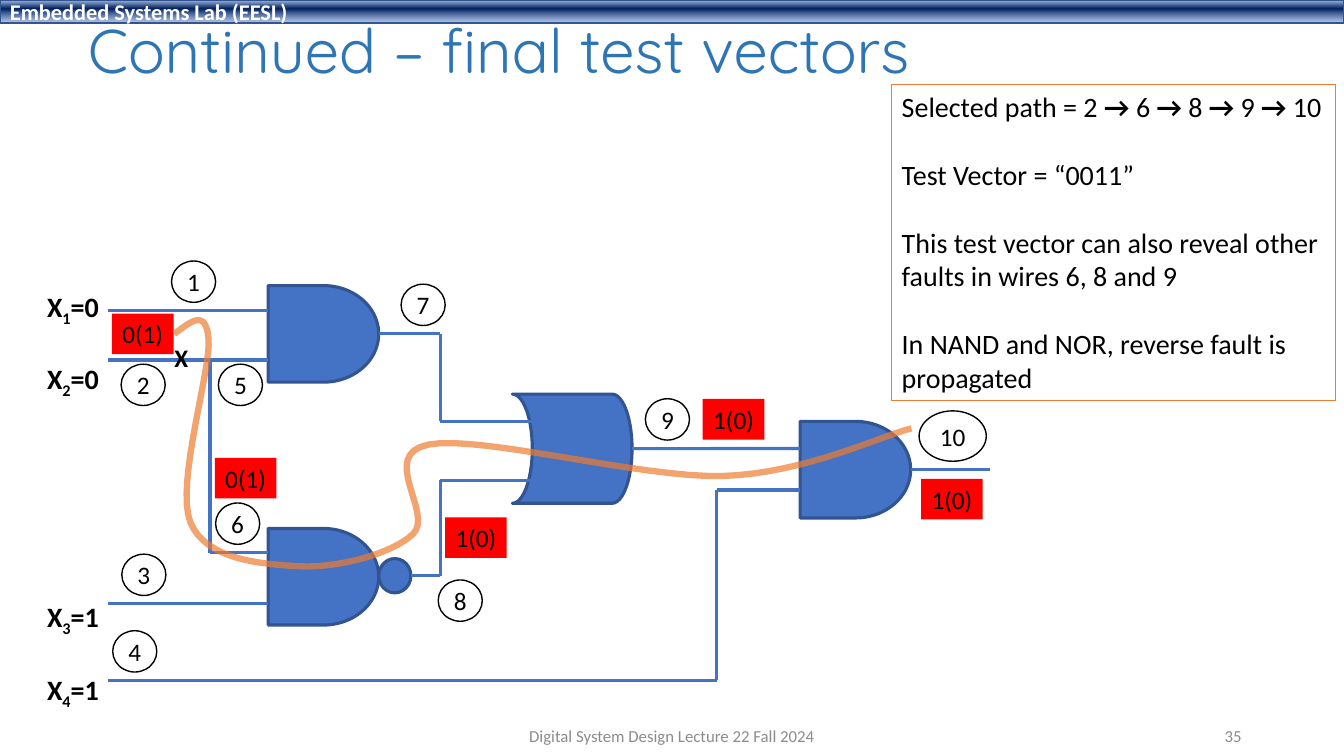
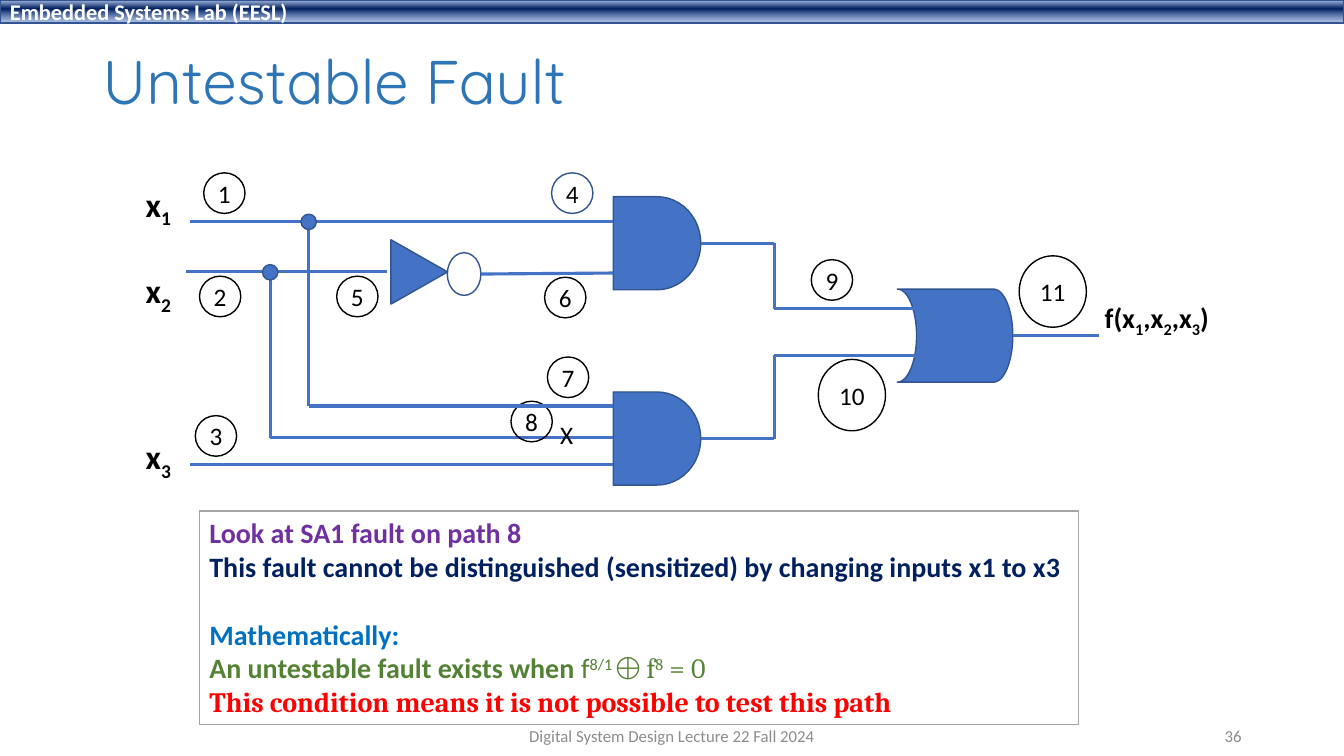
"""Build two lecture slides on test vectors and untestable faults in logic circuits."""
from dataclasses import dataclass
from itertools import pairwise

from lxml import etree
from pptx import Presentation
from pptx.dml.color import RGBColor
from pptx.enum.shapes import MSO_CONNECTOR, MSO_SHAPE as Preset
from pptx.enum.text import MSO_ANCHOR as Anchor, MSO_AUTO_SIZE, PP_ALIGN as Align
from pptx.oxml.ns import qn
from pptx.util import Pt


@dataclass(frozen=True)
class Theme:
    """Colours, fonts and type sizes of the deck."""
    body: str = "Calibri"
    heading: str = "Quicksand"
    serif: str = "Cambria"
    ink: str = "000000"
    paper: str = "FFFFFF"
    title: str = "2E75B6"
    gate: str = "4472C4"
    edge: str = "325491"
    orange: str = "ED7D31"
    red: str = "FF0000"
    grey: str = "A5A5A5"
    footer: str = "8C8C8C"
    purple: str = "7030A0"
    navy: str = "002060"
    blue: str = "0070C0"
    green: str = "548235"
    band: tuple = ((2, "ABC0E4", 100), (38, "002060", 100), (93, "7E9ED6", 64))
    title_size: int = 44
    input_size: int = 24
    text_size: int = 20
    mark_size: int = 18
    band_size: int = 16
    footer_size: int = 12
    wire_width: float = 2.25


@dataclass(frozen=True)
class Wire:
    """A wire from a gate, point or x position to a gate's port or an x position."""
    start: object
    to: object
    port: float = 0.5
    turn: float = None
    marks: tuple = ()
    dot: bool = False


T = Theme()
LAB = "Embedded Systems Lab (EESL)"
COURSE = "Digital System Design Lecture 22 Fall 2024"
WIDTH, HEIGHT = 960, 540
BLANK_LINE = 24.4
SUB, SUPER = {"base": -25}, {"base": 30}
ARROW = (" → ", {"bold": True})
AND, OR = Preset.FLOWCHART_DELAY, Preset.FLOWCHART_STORED_DATA
NOT, OVAL = Preset.ISOSCELES_TRIANGLE, Preset.OVAL
GAPS = {"above": 6, "below": 3, "touching": -3}
DOT = 11


def plain(text, gap=0, **look):
    """Return a paragraph of a single run."""
    return gap, [(text, look)]


def route(*nodes):
    """Return the runs that name a path through the circuit."""
    runs = [(f"Selected path = {nodes[0]}", {})]
    for node in nodes[1:]:
        runs += [ARROW, (node, {})]
    return 0, runs


GREEN = {"color": T.green}
FORMULA = {**GREEN, "bold": False}
SERIF = {**FORMULA, "font": T.serif}

SLIDES = [
    {
        "title": ("Continued – final test vectors", (55.5, 8.5, 828, 60)),
        "number": "35",
        "panel": ((637, 60.5, 317, 225.5), T.orange, False, [
            route("2", "6", "8", "9", "10"),
            plain("Test Vector = “0011”", BLANK_LINE),
            plain("This test vector can also reveal other", BLANK_LINE),
            plain("faults in wires 6, 8 and 9"),
            plain("In NAND and NOR, reverse fault is", BLANK_LINE),
            plain("propagated"),
        ]),
        "gate_line": 2.25,
        "sizes": {AND: (79, 69), OR: (85.5, 78), OVAL: (23, 24.5)},
        "gates": {"and": (AND, 191.5, 204), "nand": (AND, 191.5, 377.5), "or": (OR, 366, 281.5),
                  "output": (AND, 571.5, 301), "bubble": (OVAL, 270.5, 399)},
        "wires": [
            Wire("and", "or", 0.25, 314.5, (("7", 286.5, "above start"),)),
            Wire("bubble", "or", 0.79, 314.5, (("8", 313, "below start"),)),
            Wire("or", "output", 0.28, marks=(("9", 461, "above"),)),
            Wire("output", 707, marks=(("10", 656.5, "above"),)),
            Wire((77, 486), "output", 0.71, 512, (("4", 80.5, "above start"),)),
            Wire(77, "nand", 0.78, marks=(("3", 87, "above"),)),
            Wire(77, "and", 0.77, marks=(("2", 86.5, "below"), ("5", 156, "below"))),
            Wire(77, "and", 0.26, marks=(("1", 122.5, "above"),)),
            Wire((150, 257), "nand", 0.25, 150, (("6", 154, "above"),)),
        ],
        "nodes": ((31.5, 29.5), (48, 36)),
        "labels": ("X", ("=0", "=0", "=1", "=1"), T.text_size, 26.5, (203, 254.5, 425, 476.5)),
        "fault": ((117.5, 241, 24.5, 29), True),
        "values": {"0(1)": [(80, 224), (153.5, 327)],
                   "1(0)": [(502, 285), (658, 342), (318, 369.5)]},
        "trace": [(83, 290), (124.5, 238.5), (149, 242), (136, 373), (214, 404.5),
                  (295, 381.5), (306.5, 317.5), (517, 340), (651, 306), (651, 306)],
    },
    {
        "title": ("Untestable Fault", (66, 29, 828, 62.5)),
        "number": "36",
        "panel": ((142.5, 365, 628, 152.5), T.grey, True, [
            plain("Look at SA1 fault on path 8", color=T.purple),
            plain("This fault cannot be distinguished (sensitized) by changing inputs x1 to x3",
                  color=T.navy),
            plain("Mathematically:", BLANK_LINE, color=T.blue),
            (0, [("An untestable fault exists when ", GREEN), ("f", FORMULA),
                 ("8/1 ", {**FORMULA, **SUPER}), ("⨁ f", SERIF),
                 ("8", {**SERIF, **SUPER}), (" = 0", SERIF)]),
            plain("This condition means it is not possible to test this path",
                  color=T.red, font=T.serif),
        ]),
        "gate_line": 1,
        "sizes": {AND: (62.5, 66.5), OR: (82.5, 66.5), NOT: (46, 40.5), OVAL: (24, 30.5)},
        "gates": {"upper and": (AND, 438, 140.5), "lower and": (AND, 438, 280),
                  "or": (OR, 641, 206.5), "inverter": (NOT, 276.5, 174),
                  "bubble": (OVAL, 319.5, 180.5)},
        "hollow": ["bubble"],
        "wires": [
            Wire("bubble", "upper and", 0.82, marks=(("6", 389, "below"),)),
            Wire(133, "inverter", marks=(("2", 142.5, "below"), ("5", 240.5, "below"))),
            Wire(136, "upper and", 0.27, marks=(("1", 145.5, "above"), ("4", 394, "above"))),
            Wire((193, 194.5), "lower and", 0.49, 193, (("8", 365, "touching"),), True),
            Wire(136, "lower and", 0.78, marks=(("3", 139.5, "above"),)),
            Wire((220.5, 158.5), "lower and", 0.15, 220.5, (("7", 391, "above"),), True),
            Wire("upper and", "or", 0.21, 553, (("9", 579.5, "above"),)),
            Wire("lower and", "or", 0.71, 553, (("10", 584.5, "below"),)),
            Wire("or", 785, marks=(("11", 728, "above"),)),
        ],
        "nodes": ((29.5, 29), (48, 51)),
        "tinted": ["4"],
        "labels": ("x", ("", "", ""), T.input_size, 97, (127.5, 189.5, 308)),
        "result": ([(0, [("f(x", {}), ("1", SUB), (",x", {}), ("2", SUB), (",x", {}),
                         ("3", SUB), (")", {})])], (782, 211, 105, 32)),
        "fault": ((393, 296, 24.5, 29), False),
    },
]
CENTRED = {"size": T.mark_size, "align": Align.CENTER, "anchor": Anchor.MIDDLE, "wrap": False}


def write(shape, text, size=T.text_size, color=T.ink, font=T.body, bold=False,
          align=Align.LEFT, anchor=Anchor.TOP, wrap=True, spacing=None):
    """Fill a shape with text, given as a string or as (gap, runs) paragraphs."""
    frame = shape.text_frame
    frame.auto_size, frame.word_wrap = MSO_AUTO_SIZE.NONE, wrap
    frame.vertical_anchor = anchor
    paragraphs = [plain(text)] if isinstance(text, str) else text
    for order, (gap, runs) in enumerate(paragraphs):
        line = frame.add_paragraph() if order else frame.paragraphs[0]
        line.alignment, line.space_before = align, Pt(gap)
        if spacing:
            line.line_spacing = spacing
        for words, look in runs:
            if not words:
                continue
            run = line.add_run()
            run.text = words
            run.font.size, run.font.name = Pt(size), look.get("font", font)
            run.font.bold = look.get("bold", bold)
            run.font.color.rgb = RGBColor.from_string(look.get("color", color))
            if "base" in look:
                run.font._element.set("baseline", str(look["base"] * 1000))


def outline(shape, color, width):
    """Set a solid line."""
    shape.line.color.rgb = RGBColor.from_string(color)
    shape.line.width = Pt(width)


def draw(slide, preset, box, fill=None, line=None, width=1):
    """Add a flat preset shape."""
    shape = slide.shapes.add_shape(preset, *map(Pt, box))
    shape.shadow.inherit = False
    if fill:
        shape.fill.solid()
        shape.fill.fore_color.rgb = RGBColor.from_string(fill)
    else:
        shape.fill.background()
    if line:
        outline(shape, line, width)
    else:
        shape.line.fill.background()
    return shape


def note(slide, text, box, **look):
    """Add a text box."""
    write(slide.shapes.add_textbox(*map(Pt, box)), text, **look)


def add_band(slide, layout):
    """Draw the gradient header band and hand it to the shared layout."""
    band = draw(slide, Preset.RECTANGLE, (0, 0, WIDTH, 16.5), T.paper, T.edge)
    band.fill.gradient()
    band.fill.gradient_angle = 270
    stops = band._element.spPr.find(".//" + qn("a:gsLst"))
    for old in list(stops):
        stops.remove(old)
    for place, color, alpha in T.band:
        stop = etree.SubElement(stops, qn("a:gs"), pos=str(place * 1000))
        tint = etree.SubElement(stop, qn("a:srgbClr"), val=color)
        etree.SubElement(tint, qn("a:alpha"), val=str(alpha * 1000))
    write(band, LAB, size=T.band_size, color=T.paper, bold=True, anchor=Anchor.MIDDLE)
    band._element.nvSpPr.cNvPr.set("id", "20")
    layout.shapes._spTree.append(band._element)


def add_wire(slide, data, gates, wire):
    """Run connectors along a wire, then number it."""
    source, target = (gates.get(end) if isinstance(end, str) else None
                      for end in (wire.start, wire.to))
    if target:
        inset = 0.16 * target.width.pt if data["gates"][wire.to][0] == OR else 0
        end = target.left.pt + inset, target.top.pt + wire.port * target.height.pt
    if source:
        start = source.left.pt + source.width.pt, source.top.pt + source.height.pt / 2
    else:
        start = wire.start if isinstance(wire.start, tuple) else (wire.start, end[1])
    if not target:
        end = wire.to, start[1]
    bends = [(wire.turn, start[1]), (wire.turn, end[1])] if wire.turn else []
    legs = [leg for leg in pairwise([start, *bends, end]) if leg[0] != leg[1]]
    for order, (a, b) in enumerate(legs):
        line = slide.shapes.add_connector(MSO_CONNECTOR.STRAIGHT, *map(Pt, a + b))
        outline(line, T.gate, T.wire_width)
        etree.SubElement(line._element.spPr, qn("a:effectLst"))
        if source and not order and data["gates"][wire.start][0] == AND:
            line.begin_connect(source, 3)
    if wire.dot:
        draw(slide, OVAL, (start[0] - DOT / 2, start[1] - DOT / 2, DOT, DOT), T.gate, T.edge)
    for number, x, place in wire.marks:
        width, height = data["nodes"][len(number) - 1]
        side = place.split()[0]
        y = start[1] if place.endswith("start") else end[1]
        top = y + GAPS[side] if side == "below" else y - GAPS[side] - height
        edge = T.edge if number in data.get("tinted", []) else T.ink
        write(draw(slide, OVAL, (x, top, width, height), line=edge), number, **CENTRED)


def add_trace(slide, knots, steps=16):
    """Draw the fault's path as a smooth translucent line through its inner knots."""
    curve = []
    for before, a, d, after in zip(knots, knots[1:], knots[2:], knots[3:]):
        for t in (step / steps for step in range(1, steps + 1)):
            u = 1 - t
            curve.append(tuple(
                Pt(u**3 * p + 3 * u * u * t * (p + (q - o) / 6)
                   + 3 * u * t * t * (q - (r - p) / 6) + t**3 * q)
                for o, p, q, r in zip(before, a, d, after)))
    builder = slide.shapes.build_freeform(*map(Pt, knots[1]))
    builder.add_line_segments(curve, close=False)
    trace = builder.convert_to_shape()
    trace.shadow.inherit = False
    trace.fill.background()
    outline(trace, T.orange, 2 * T.wire_width)
    tint = trace.line._ln.find(".//" + qn("a:srgbClr"))
    etree.SubElement(tint, qn("a:alpha"), val="70000")


def add_circuit(slide, data):
    """Draw gates, wires, node numbers, labels and fault values."""
    gates = {}
    for name, (preset, x, y) in data["gates"].items():
        fill = None if name in data.get("hollow", []) else T.gate
        box = (x, y, *data["sizes"][preset])
        gate = gates[name] = draw(slide, preset, box, fill, T.edge, data["gate_line"])
        if preset == OR:
            gate._element.spPr.find(qn("a:xfrm")).set("flipH", "1")
        elif preset == NOT:
            gate.rotation = 90
    for wire in data["wires"]:
        add_wire(slide, data, gates, wire)
    letter, tails, size, left, tops = data["labels"]
    for index, (tail, top) in enumerate(zip(tails, tops), 1):
        text = [(0, [(letter, {}), (str(index), SUB), (tail, {})])]
        note(slide, text, (left, top, 60, 36), size=size, bold=True)
    if "result" in data:
        note(slide, *data["result"], bold=True)
    for value, corners in data.get("values", {}).items():
        for corner in corners:
            chip = draw(slide, Preset.RECTANGLE, (*corner, 44, 29), T.red)
            write(chip, value, **CENTRED)
    if "trace" in data:
        add_trace(slide, data["trace"])


def main():
    """Assemble and save the deck."""
    deck = Presentation()
    deck.slide_width, deck.slide_height = Pt(WIDTH), Pt(HEIGHT)
    layout = deck.slide_layouts[5]
    footer = {"size": T.footer_size, "color": T.footer, "anchor": Anchor.MIDDLE}
    for order, data in enumerate(SLIDES):
        slide = deck.slides.add_slide(layout)
        if not order:
            add_band(slide, layout)
        heading, box = data["title"]
        title = slide.shapes.title
        title.left, title.top, title.width, title.height = map(Pt, box)
        write(title, heading, size=T.title_size, color=T.title, font=T.heading,
              anchor=Anchor.MIDDLE, spacing=0.9)
        box, edge, bold, text = data["panel"]
        write(draw(slide, Preset.RECTANGLE, box, T.paper, edge), text, bold=bold)
        add_circuit(slide, data)
        box, bold = data["fault"]
        note(slide, "X", box, size=T.mark_size, bold=bold)
        note(slide, COURSE, (318, 511, 324, 29), align=Align.CENTER, **footer)
        note(slide, data["number"], (678, 511, 216, 29), align=Align.RIGHT, **footer)
    deck.save("out.pptx")


if __name__ == "__main__":
    main()
